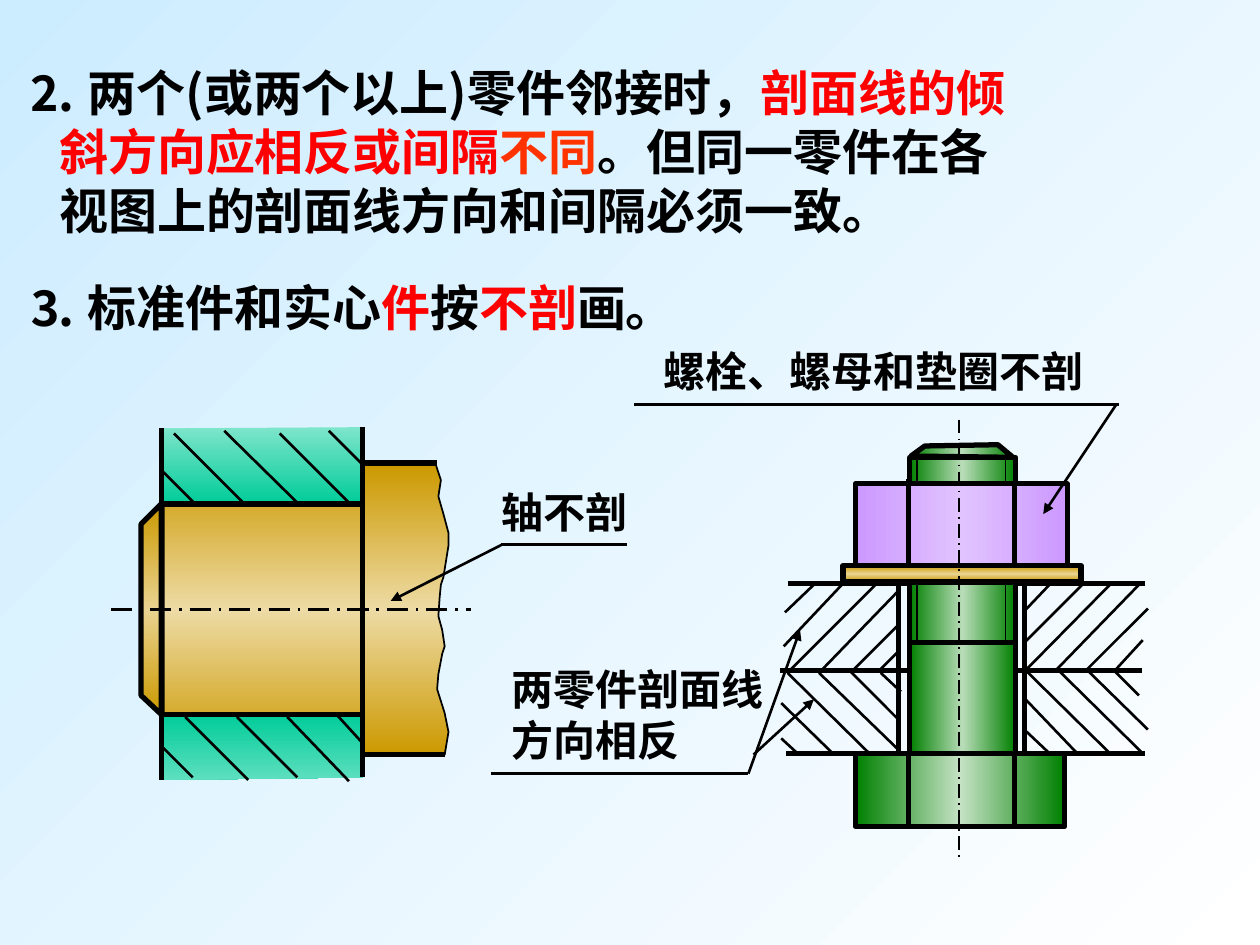
"""Build the slide on section-line rules for adjoining, standard and solid parts."""
from dataclasses import dataclass
from typing import Optional

from lxml import etree
from pptx import Presentation
from pptx import util as u
from pptx.dml.color import RGBColor
from pptx.enum import dml, shapes, text
from pptx.oxml.ns import qn

FONT = "Noto Sans CJK SC"
BLACK, RED, ORANGE = "000000", "FF0000", "FF3300"
GREEN = ("008000", "B8DCB8", "008000")
HEAD = ("008000", "C5E2C5", "008000")
LILAC = ("CC99FF", "E1C3FF", "CC99FF")
GOLD = ("CC9900", "E9D391", "CC9900")
SHAFT = ("CC9900", "EDDBA5", "CC9900")
THICK, MID, THIN = 3, 1.5, 1


@dataclass
class Stroke:
    """A straight line, in inches, with its width in points."""
    x1: float
    y1: float
    x2: float
    y2: float
    width: float = MID
    arrow: bool = False
    dash: bool = False


@dataclass
class Part:
    """A filled outline given by its corner points."""
    points: list
    stops: tuple
    angle: int = 90
    width: float = THICK
    closed: bool = True


@dataclass
class Block:
    """A filled rectangle."""
    x: float
    y: float
    w: float
    h: float
    stops: tuple
    angle: int = 0


def inch(val: float) -> u.Length:
    """Turn drawing inches into a length."""
    return u.Cm(val * 2.54)


def hue(code: str) -> RGBColor:
    """Turn a hex string into a colour."""
    return RGBColor.from_string(code)


def blend(fill, root, stops: tuple, angle: int) -> None:
    """Give a fill evenly spaced gradient stops."""
    fill.gradient()
    fill.gradient_angle = (360 - angle) % 360
    lst = next(root.iter(qn("a:gsLst")))
    for old in list(lst):
        lst.remove(old)
    for i, code in enumerate(stops):
        stop = etree.SubElement(lst, qn("a:gs"), pos=str(100000 * i // (len(stops) - 1)))
        etree.SubElement(stop, qn("a:srgbClr"), val=code)


def ink(line, width: float) -> None:
    """Draw a line in black at a width."""
    line.color.rgb = hue(BLACK)
    line.width = u.Pt(width)


def stroke(slide, item: Stroke) -> None:
    """Draw one straight line."""
    ends = map(inch, (item.x1, item.y1, item.x2, item.y2))
    line = slide.shapes.add_connector(shapes.MSO_CONNECTOR.STRAIGHT, *ends)
    ink(line.line, item.width)
    if item.dash:
        line.line.dash_style = dml.MSO_LINE.LONG_DASH_DOT
    if item.arrow:
        etree.SubElement(line.line._get_or_add_ln(), qn("a:tailEnd"), type="triangle")
    etree.SubElement(line.element.spPr, qn("a:effectLst"))


def strokes(slide, rows: list, width: float = MID) -> None:
    """Draw a set of lines of equal width."""
    for row in rows:
        stroke(slide, Stroke(*row, width=width))


def finish(shape, item) -> None:
    """Fill and outline a shape."""
    shape.shadow.inherit = False
    blend(shape.fill, shape.element, item.stops, item.angle)
    ink(shape.line, getattr(item, "width", THICK))


def block(slide, item: Block) -> None:
    """Draw one rectangle."""
    box = map(inch, (item.x, item.y, item.w, item.h))
    finish(slide.shapes.add_shape(shapes.MSO_SHAPE.RECTANGLE, *box), item)


def part(slide, item: Part) -> None:
    """Draw one free outline."""
    pts = [(inch(x), inch(y)) for x, y in item.points]
    form = slide.shapes.build_freeform(*pts[0], scale=1.0)
    form.add_line_segments(pts[1:], close=item.closed)
    finish(form.convert_to_shape(), item)


def write(slide, lines: list, *, at: tuple, size: int, hang: float = 0,
          wrap: bool = False, holder: Optional[object] = None) -> None:
    """Write lines of coloured runs in a text box or a placeholder."""
    box = holder or slide.shapes.add_textbox(0, 0, 0, 0)
    box.left, box.top, box.width, box.height = map(inch, at)
    frame = box.text_frame
    frame.word_wrap = wrap
    frame.auto_size = text.MSO_AUTO_SIZE.NONE
    frame.vertical_anchor = text.MSO_ANCHOR.TOP
    for i, runs in enumerate(lines):
        para = frame.paragraphs[0] if i == 0 else frame.add_paragraph()
        props = para._p.get_or_add_pPr()
        props.set("marL", str(inch(hang if i else 0)))
        props.set("indent", "0")
        etree.SubElement(props, qn("a:buNone"))
        para.alignment = text.PP_ALIGN.LEFT
        para.space_before = u.Pt(0)
        para.line_spacing = u.Pt(size * 1.2)
        for words, code in runs:
            run = para.add_run()
            run.text = words
            font = run.font
            font.name, font.size, font.bold = FONT, u.Pt(size), True
            font.color.rgb = hue(code)
            etree.SubElement(run._r.get_or_add_rPr(), qn("a:ea"), typeface=FONT)


def points(slide) -> None:
    """Write the two numbered rules in the body placeholders."""
    title, first, second = slide.placeholders
    title.element.getparent().remove(title.element)
    write(slide, [
        [("⒉ 两个(或两个以上)零件邻接时，", BLACK), ("剖面线的倾", RED)],
        [("斜方向应相反或间隔", RED), ("不同", ORANGE), ("。但同一零件在各", BLACK)],
        [("视图上的剖面线方向和间隔必须一致。", BLACK)],
    ], at=(0.12, 0.45, 9.99, 1.5), size=28, hang=0.25, wrap=True, holder=first)
    write(slide, [[("⒊ 标准件和实心", BLACK), ("件", RED), ("按", BLACK),
                   ("不剖", RED), ("画。", BLACK)]],
          at=(0.12, 2.15, 6.8, 0.57), size=28, wrap=True, holder=second)


def bolt(slide) -> None:
    """Draw the bolted joint with its two hatched plates."""
    strokes(slide, [(6.25, 4.63, 9.09, 4.63), (6.19, 5.32, 9.06, 5.32)], THICK)
    block(slide, Block(7.22, 3.63, 0.84, 2.36, GREEN))
    strokes(slide, [(6.24, 5.98, 9.09, 5.98), (7.13, 4.64, 7.13, 5.98),
                    (8.13, 4.64, 8.13, 5.98), (7.21, 5.1, 8.06, 5.1)], THICK)
    strokes(slide, [(x, 3.57, x, 5.11) for x in (7.28, 7.98)], THIN)
    strokes(slide, [
        (8.13, 4.85, 8.33, 4.64), (8.14, 5.09, 8.59, 4.64), (8.14, 5.32, 8.81, 4.64),
        (8.38, 5.32, 9.06, 4.62), (8.62, 5.32, 9.11, 4.83), (8.85, 5.32, 9.07, 5.08),
        (6.23, 4.86, 6.46, 4.64), (6.22, 5.13, 6.73, 4.59), (6.27, 5.32, 6.96, 4.63),
        (6.52, 5.32, 7.12, 4.7), (6.77, 5.32, 7.13, 4.96), (6.99, 5.31, 7.12, 5.18)])
    strokes(slide, [
        (6.99, 5.34, 7.15, 5.49), (6.74, 5.32, 7.12, 5.7), (6.5, 5.34, 7.13, 5.95),
        (6.25, 5.34, 6.9, 5.98), (6.2, 5.58, 6.61, 5.98), (6.2, 5.86, 6.33, 5.98),
        (8.14, 5.8, 8.33, 5.98), (8.12, 5.53, 8.55, 5.98), (8.14, 5.32, 8.81, 5.98),
        (8.4, 5.32, 9.06, 5.97), (8.63, 5.32, 9.11, 5.79), (8.85, 5.33, 9.04, 5.52)])
    block(slide, Block(6.79, 3.84, 1.68, 0.65, LILAC))
    block(slide, Block(6.69, 4.49, 1.89, 0.13, GOLD, 90))
    strokes(slide, [(7.21, 3.8, 7.21, 4.5), (8.05, 3.84, 8.05, 4.47)], THICK)
    block(slide, Block(6.79, 5.98, 1.66, 0.58, HEAD))
    strokes(slide, [(7.21, 5.98, 7.21, 6.58), (8.05, 5.98, 8.05, 6.55)], THICK)
    part(slide, Part([(7.23, 3.62), (8.04, 3.63), (7.92, 3.53), (7.34, 3.54)], GREEN, 0))
    stroke(slide, Stroke(7.61, 3.33, 7.61, 6.82, THIN, dash=True))


def shaft(slide) -> None:
    """Draw the solid shaft in its hatched sleeve."""
    stroke(slide, Stroke(2.88, 3.67, 3.47, 3.67, THICK))
    part(slide, Part([(1.28, 5.67), (1.12, 5.52), (1.12, 4.16), (1.28, 4)], GOLD))
    part(slide, Part([
        (3.46, 3.69), (3.5, 3.81), (3.48, 3.94), (3.52, 4.08), (3.56, 4.23), (3.56, 4.33),
        (3.52, 4.58), (3.5, 4.64), (3.49, 4.74), (3.48, 4.89), (3.51, 5), (3.53, 5.13),
        (3.51, 5.19), (3.48, 5.35), (3.47, 5.47), (3.53, 5.66), (3.56, 5.81), (3.53, 5.99),
        (2.88, 5.99), (2.88, 5.67), (1.3, 5.66), (1.3, 3.99), (2.88, 4), (2.88, 3.69)],
        SHAFT, width=THIN))
    part(slide, Part([(1.28, 6.19), (1.28, 5.67), (2.88, 5.67), (2.88, 6.17)],
                     ("00CC99", "5EDFBF"), closed=False))
    part(slide, Part([(1.28, 3.4), (1.28, 4), (2.88, 4), (2.88, 3.39)],
                     ("7EE5CB", "00CC99"), closed=False))
    strokes(slide, [(1.28, 3.42, 1.28, 6.15), (2.88, 3.44, 2.88, 6.15), (1.26, 4, 2.88, 4),
                    (1.26, 5.67, 2.9, 5.67), (2.88, 5.99, 3.53, 5.99)], THICK)
    strokes(slide, [
        (1.28, 3.73, 1.55, 4), (1.38, 3.44, 1.94, 4), (1.78, 3.42, 2.38, 4.01),
        (2.22, 3.44, 2.78, 4), (2.61, 3.42, 2.88, 3.69), (2.67, 5.67, 2.88, 5.9),
        (2.28, 5.69, 2.77, 6.2), (1.88, 5.69, 2.36, 6.17), (1.47, 5.69, 1.97, 6.19),
        (1.28, 5.92, 1.53, 6.17)])
    stroke(slide, Stroke(0.88, 4.84, 3.74, 4.84, dash=True))


def labels(slide) -> None:
    """Write the three labels with their leaders."""
    for lines, at in ((("两零件剖面线", "方向相反"), (3.96, 5.22, 2.2, 0.9)),
                      (("螺栓、螺母和垫圈不剖",), (5.17, 2.69, 3.53, 0.5)),
                      (("轴不剖",), (3.88, 3.81, 1.2, 0.5))):
        write(slide, [[(line, BLACK)] for line in lines], at=at, size=24)
    strokes(slide, [(3.9, 6.14, 5.94, 6.14), (5.03, 3.21, 8.88, 3.21), (3.98, 4.32, 4.98, 4.32)])
    for ends in ((5.94, 6.14, 6.35, 5), (5.98, 5.99, 6.46, 5.55),
                 (8.86, 3.21, 8.28, 4.08), (3.99, 4.32, 3.1, 4.77)):
        stroke(slide, Stroke(*ends, arrow=True))


def main() -> None:
    """Build and save the slide."""
    deck = Presentation()
    deck.slide_width, deck.slide_height = inch(10), inch(7.5)
    slide = deck.slides.add_slide(deck.slide_layouts[3])
    blend(slide.background.fill, slide.element, ("CCECFF", "FFFFFF"), 45)
    points(slide)
    bolt(slide)
    shaft(slide)
    labels(slide)
    deck.save("out.pptx")


if __name__ == "__main__":
    main()
